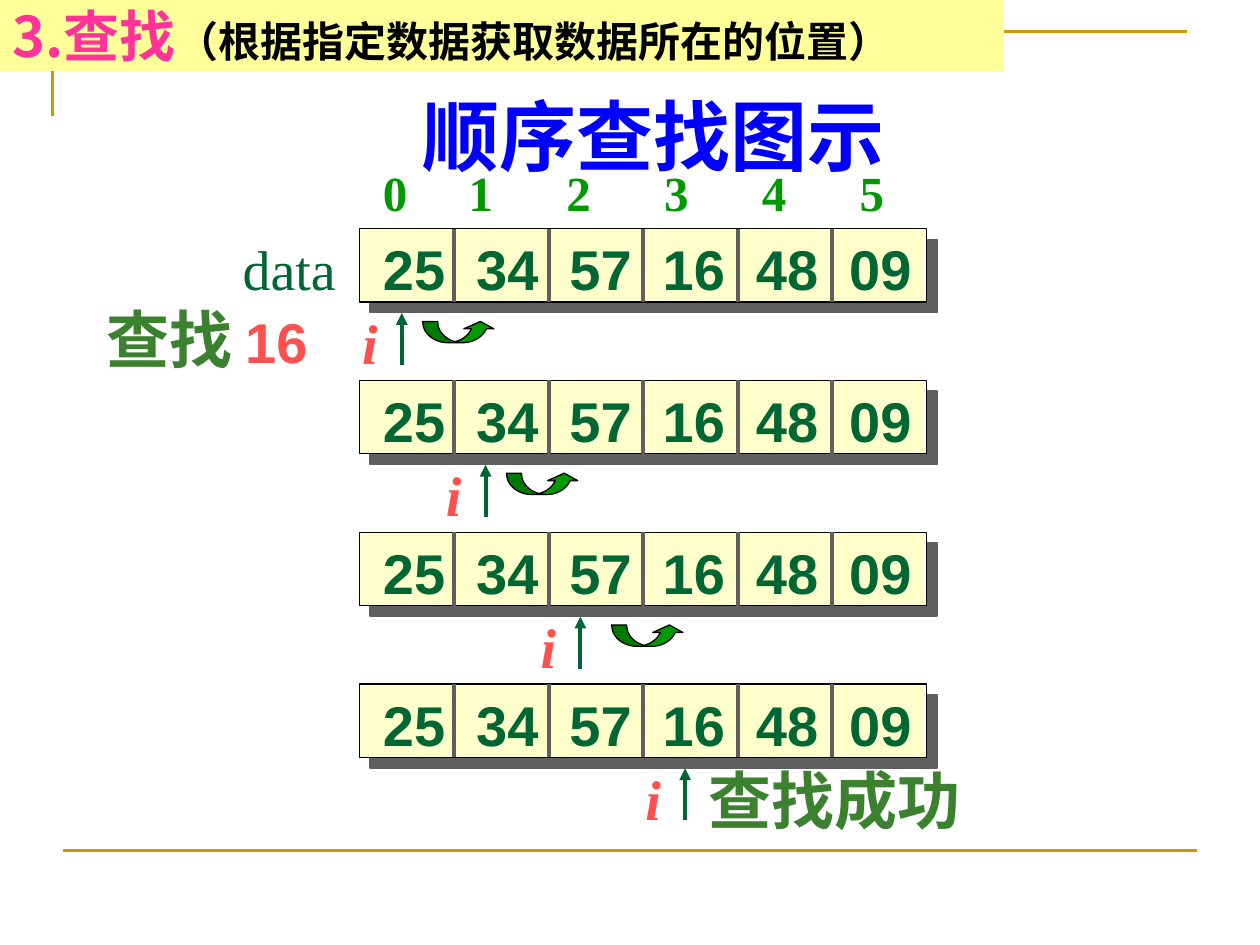
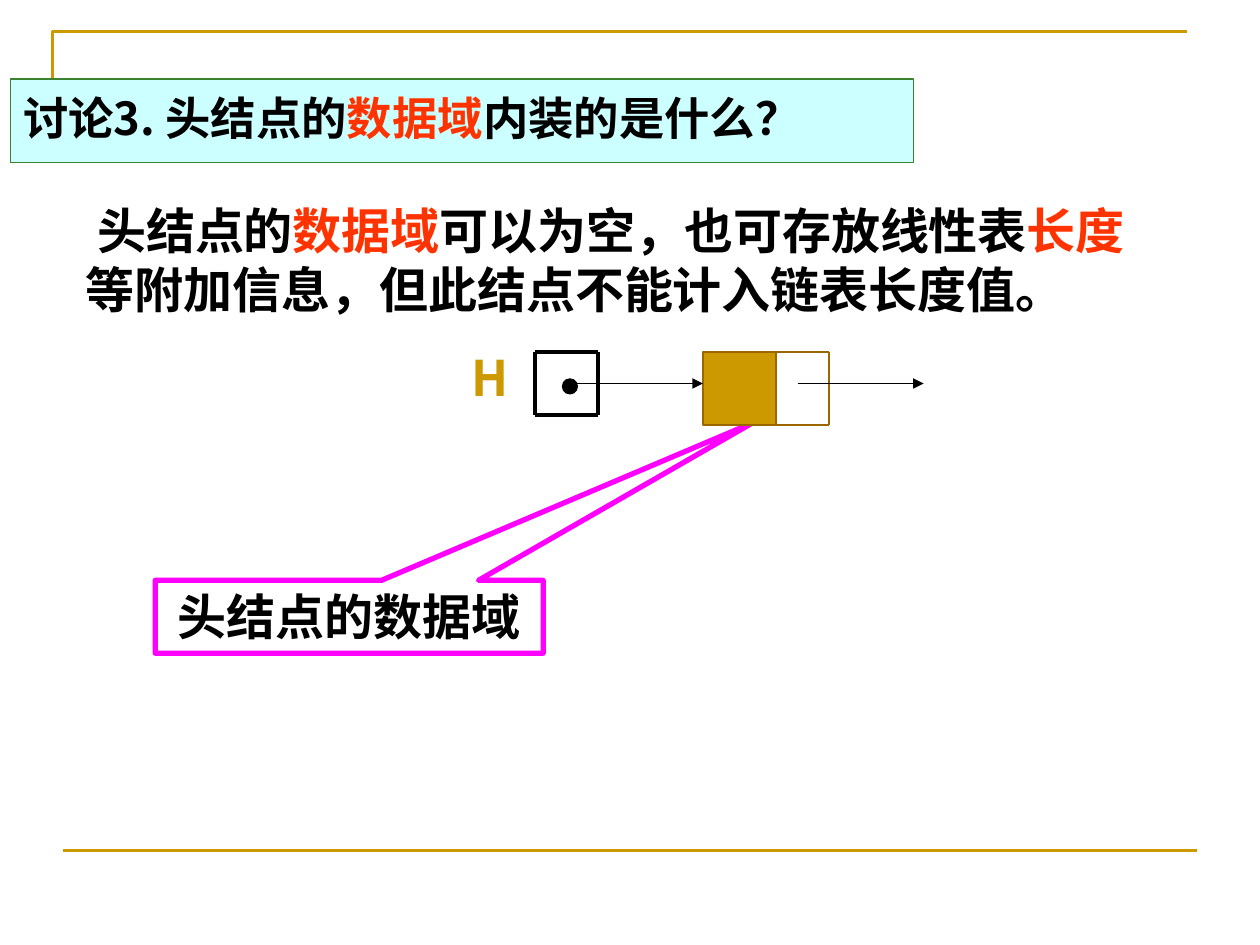
from lxml.etree import SubElement
from pptx import Presentation
from pptx.dml.color import RGBColor
from pptx.enum.shapes import MSO_CONNECTOR, MSO_SHAPE as SHAPE
from pptx.enum.text import MSO_ANCHOR as ANCHOR, MSO_AUTO_SIZE, PP_ALIGN as ALIGN
from pptx.oxml.ns import qn
from pptx.util import Cm, Pt

COLORS = {
    "gold": "CC9900", "brown": "996600", "black": "000000", "blue": "0000FF",
    "band": "FFFF99", "pink": "FF3399", "cream": "FFFFCC", "gray": "5F5F5F",
    "dark green": "006633", "index green": "009900", "leaf": "3B812F",
    "coral": "FF5050", "aqua": "CCFFFF", "red": "FF3300", "magenta": "FF00FF",
}
CJK, SERIF, SANS = "Noto Sans CJK SC", "Times New Roman", "Arial"

DATA = ["25", "34", "57", "16", "48", "09"]
ARRAY_W, ARRAY_H = 11.43, 1.48
CELL_W = ARRAY_W / len(DATA)
ROW_PITCH = 3.06
# Distance from the array's left edge to the pointer and to the jump arrow
SEARCH_STEPS = [(0.85, 1.27), (2.54, 2.96), (4.45, 5.08), (6.56, None)]


def rgb(name):
    return RGBColor.from_string(COLORS[name])


def box(left, top, width, height):
    return [Cm(v) for v in (left, top, width, height)]


def paint(shape, fill=None, line=None, weight=0.75):
    if fill:
        shape.fill.solid()
        shape.fill.fore_color.rgb = rgb(fill)
    else:
        shape.fill.background()
    if line:
        shape.line.color.rgb = rgb(line)
        shape.line.width = Pt(weight)
    else:
        shape.line.fill.background()


def add_preset(slide, kind, place, **look):
    shape = slide.shapes.add_shape(kind, *box(*place))
    shape.shadow.inherit = False
    paint(shape, **look)
    return shape


def add_line(slide, start, end, color, weight, arrow=False):
    ends = [Cm(v) for v in (*start, *end)]
    line = slide.shapes.add_connector(MSO_CONNECTOR.STRAIGHT, *ends)
    line.line.color.rgb = rgb(color)
    line.line.width = Pt(weight)
    if arrow:
        SubElement(line.line._get_or_add_ln(), qn("a:tailEnd"), type="triangle")
    SubElement(line.element.spPr, qn("a:effectLst"))
    return line


def add_outline(slide, left, top, width, height, color, weight):
    """Draw an open cell from four separate lines."""
    right, bottom = left + width, top + height
    for y in (top, bottom):
        add_line(slide, (left, y), (right, y), color, weight)
    for x in (left, right):
        add_line(slide, (x, top), (x, bottom), color, weight)


def write(paragraph, text, size, color, font=CJK, bold=True, italic=False):
    run = paragraph.add_run()
    run.text = text
    style = run.font
    style.size, style.bold, style.italic = Pt(size), bold, italic
    style.color.rgb = rgb(color)
    style.name = font
    SubElement(run._r.get_or_add_rPr(), qn("a:ea"), typeface=CJK)


def add_text(slide, place, *runs, wrap=False, tabs=()):
    """Add a text box; each run is (text, size, color, font, bold, italic)."""
    frame = slide.shapes.add_textbox(*box(*place)).text_frame
    frame.word_wrap = wrap
    paragraph = frame.paragraphs[0]
    if tabs:
        stops = SubElement(paragraph._p.get_or_add_pPr(), qn("a:tabLst"))
        for stop in tabs:
            SubElement(stops, qn("a:tab"), pos=str(Cm(stop)), algn="l")
    for run in runs:
        write(paragraph, *run)
    return frame


def add_frame_to_layout(layout, slide):
    """Build the gold rules on a slide and hand them to its layout."""
    left, top, right, bottom = 1.06, 0.63, 23.92, 2.33
    builder = slide.shapes.build_freeform(Cm(left), Cm(bottom))
    builder.add_line_segments([(Cm(left), Cm(top)), (Cm(right), Cm(top))], close=False)
    corner = builder.convert_to_shape()
    corner.shadow.inherit = False
    paint(corner, line="gold", weight=1.5)
    footer = add_line(slide, (1.27, 17.15), (24.13, 17.15), "gold", 1.5)
    for rule in (corner, footer):
        layout.shapes.element.append(rule.element)


def format_title(slide, place, *runs, **look):
    title = slide.shapes.title
    title.left, title.top, title.width, title.height = box(*place)
    paint(title, **look)
    frame = title.text_frame
    frame.auto_size = MSO_AUTO_SIZE.NONE
    frame.vertical_anchor = ANCHOR.MIDDLE
    paragraph = frame.paragraphs[0]
    paragraph.alignment = ALIGN.LEFT
    for run in runs:
        write(paragraph, *run)
    return paragraph


def add_array(slide, left, top):
    array = add_preset(slide, SHAPE.RECTANGLE, (left, top, ARRAY_W, ARRAY_H),
                       fill="cream", line="black")
    effects = array.element.spPr.find(qn("a:effectLst"))
    shadow = SubElement(effects, qn("a:outerShdw"), dist=str(Pt(8.5)),
                        dir="2700000", algn="ctr", rotWithShape="0")
    SubElement(shadow, qn("a:srgbClr"), val=COLORS["gray"])
    add_text(slide, (left + 0.22, top, 11.4, 1.63),
             ("\t".join(DATA), 32, "dark green", SANS),
             wrap=True, tabs=[1.88 * i for i in range(1, len(DATA))])
    for i in range(1, len(DATA)):
        x = left + i * CELL_W
        add_line(slide, (x, top), (x, top + ARRAY_H), "gray", 2.25)


def add_search_step(slide, left, top, pointer, jump):
    x = left + pointer
    add_line(slide, (x, top + 2.75), (x, top + 1.7), "dark green", 2.25, arrow=True)
    add_array(slide, left, top)
    add_text(slide, (x - 1.05, top + 1.49, 0.81, 1.63),
             ("i", 32, "coral", SERIF, True, True))
    if jump is not None:
        arrow = add_preset(slide, SHAPE.CURVED_UP_ARROW,
                           (left + jump, top + 1.87, 1.47, 0.43),
                           fill="index green", line="black")
        for i, value in enumerate((0.7, 1.41, 0.35)):
            arrow.adjustments[i] = value


def add_search_diagram(slide, left, top):
    heading = add_text(slide, (left, top - 2.96, 11.86, 2.11),
                       ("顺序查找图示", 44, "blue", SERIF), wrap=True)
    heading.vertical_anchor = ANCHOR.MIDDLE
    heading.paragraphs[0].alignment = ALIGN.CENTER
    indices = "\t".join(str(i) for i in range(len(DATA)))
    add_text(slide, (left + 0.22, top - 1.45, 10.87, 1.45),
             (indices, 28, "index green", SERIF),
             tabs=[1.73 + 1.97 * i for i in range(len(DATA) - 1)])
    add_text(slide, (left - 2.61, top, 2.39, 1.63),
             ("data", 32, "dark green", SERIF, False))
    add_text(slide, (left - 5.35, top + 1.33, 5.13, 1.78),
             ("查找", 36, "leaf", SERIF), (" ", 32, "coral", SERIF, False),
             ("16", 32, "coral", SANS))
    for row, (pointer, jump) in enumerate(SEARCH_STEPS):
        add_search_step(slide, left, top + row * ROW_PITCH, pointer, jump)
    add_text(slide, (left + 6.79, top + 10.62, 5.59, 1.78),
             ("查找成功", 36, "leaf", SERIF))


def add_head_node(slide, left, top):
    """Draw pointer H, the head node it leads to and the node's outgoing link."""
    add_outline(slide, left + 1.53, top, 1.27, 1.27, "black", 2.25)
    add_preset(slide, SHAPE.OVAL, (left + 2.08, top + 0.55, 0.3, 0.3),
               fill="black", line="black")
    add_preset(slide, SHAPE.RECTANGLE, (left + 4.91, top, 1.48, 1.48),
               fill="gold", line="brown", weight=1)
    add_outline(slide, left + 6.39, top, 1.06, 1.48, "brown", 1)
    add_text(slide, (left, top - 0.2, 1.09, 1.45), ("H", 28, "gold"))
    for start in (2.37, 6.82):
        add_line(slide, (left + start, top + 0.64), (left + start + 2.54, top + 0.64),
                 "black", 0.75, arrow=True)


def add_callout(slide, place):
    callout = add_preset(slide, SHAPE.RECTANGULAR_CALLOUT, place, line="magenta", weight=3)
    callout.adjustments[0], callout.adjustments[1] = 1.04, -2.66
    frame = callout.text_frame
    frame.vertical_anchor = ANCHOR.TOP
    frame.paragraphs[0].alignment = ALIGN.CENTER
    write(frame.paragraphs[0], "头结点的数据域", 28, "black")


def build_search_slide(slide):
    format_title(slide, (0, 0, 20.24, 1.43), ("3.查找", 32, "pink"),
                 ("（根据指定数据获取数据所在的位置）", 24, "black"), fill="band")
    add_search_diagram(slide, 7.25, 4.61)


def build_head_node_slide(slide):
    question = format_title(
        slide, (0.21, 1.59, 18.2, 1.69), ("讨论3. 头结点的", 25.9, "black"),
        ("数据域", 25.9, "red"), ("内装的是什么？", 25.9, "black"),
        fill="aqua", line="leaf")
    question.line_spacing = 0.9
    answer = add_text(
        slide, (1.48, 3.92, 22.23, 2.64), ("头结点的", 28, "black"),
        ("数据域", 28, "red"), ("可以为空，也可存放线性表", 28, "black"),
        ("长度", 28, "red"), ("等附加信息，但此结点不能计入链表长度值。", 28, "black"),
        wrap=True).paragraphs[0]
    answer._p.get_or_add_pPr().set("indent", str(Cm(0.23)))
    add_callout(slide, (3.13, 11.7, 7.82, 1.47))
    add_head_node(slide, 9.26, 7.09)


def main():
    deck = Presentation()
    deck.slide_width, deck.slide_height = Cm(25.4), Cm(19.05)
    layout = deck.slide_layouts[5]
    search, head_node = (deck.slides.add_slide(layout) for _ in range(2))
    add_frame_to_layout(layout, search)
    build_search_slide(search)
    build_head_node_slide(head_node)
    deck.save("out.pptx")


if __name__ == "__main__":
    main()
